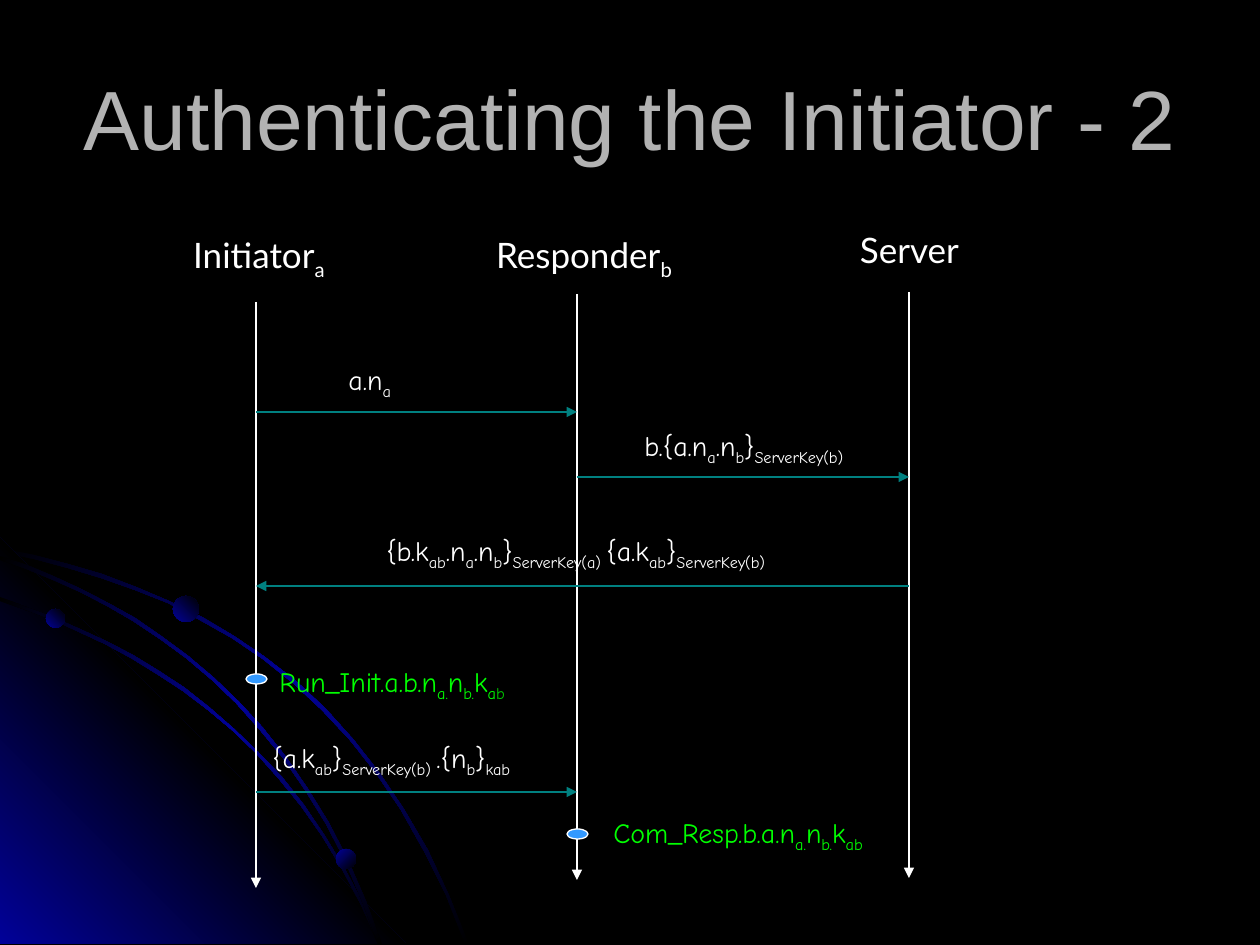
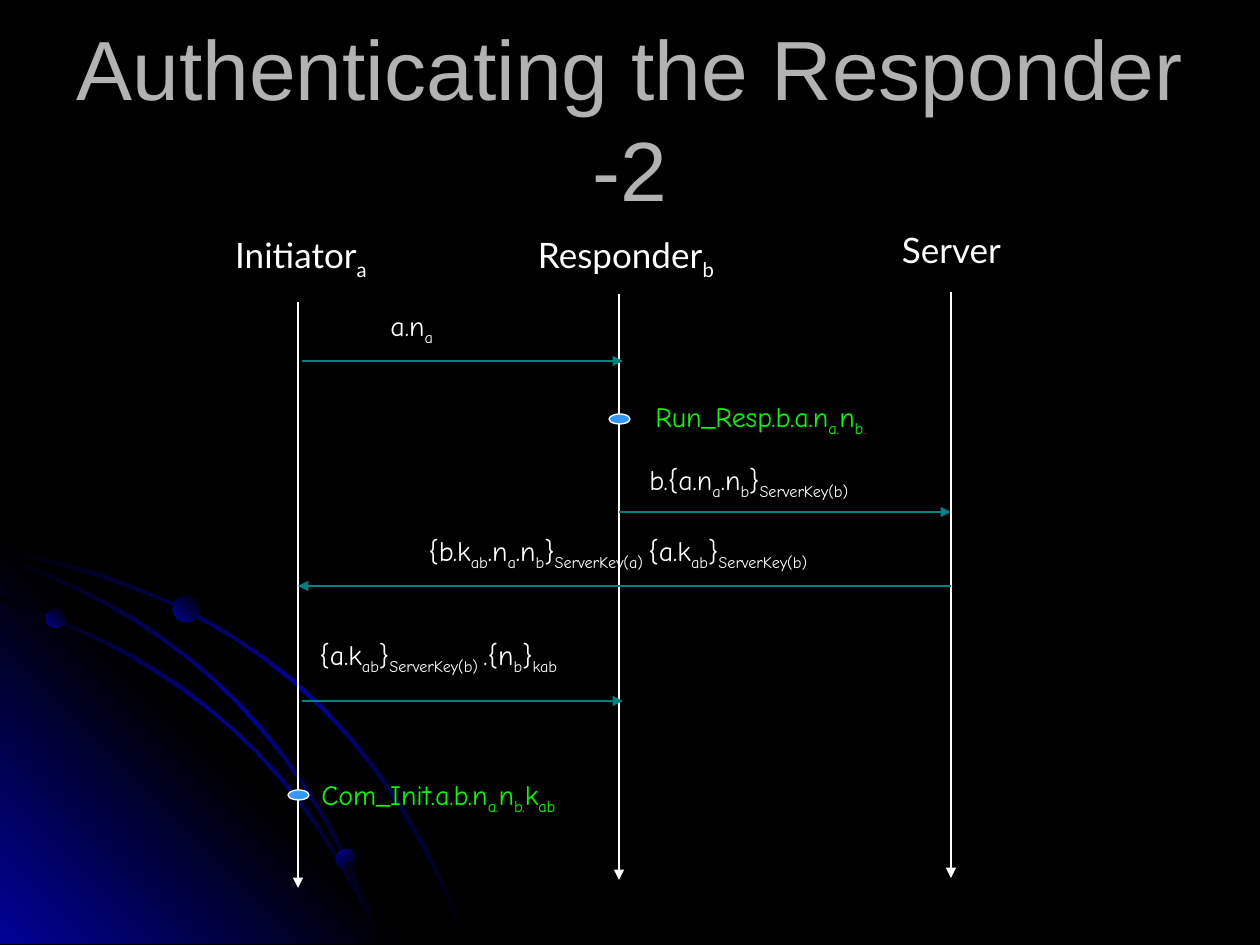
from typing import NamedTuple

from lxml import etree
from pptx import Presentation
from pptx.dml.color import RGBColor
from pptx.enum.shapes import MSO_CONNECTOR, MSO_SHAPE
from pptx.enum.text import MSO_ANCHOR, PP_ALIGN
from pptx.oxml import parse_xml
from pptx.oxml.ns import nsdecls, qn
from pptx.util import Emu, Pt

STRAIGHT = MSO_CONNECTOR.STRAIGHT
OVAL = MSO_SHAPE.OVAL
MIDDLE, TOP = MSO_ANCHOR.MIDDLE, MSO_ANCHOR.TOP
CENTER, LEFT = PP_ALIGN.CENTER, PP_ALIGN.LEFT

EMU_PER_PX = 914400 / 126
PAGE_WIDTH, PAGE_HEIGHT = 1260, 945

BLACK, WHITE, GLOW = "000000", "FFFFFF", "010199"
TEAL, MARKER_BLUE = "008080", "3399FF"
GREEN, DIM_GREEN, DIM_RED = "00FF00", "00CC00", "990000"

TITLE_STYLE = {"name": "Arial", "size": Pt(48), "color": "B2B2B2"}
ROLE_STYLE = {"name": "Lato", "size": Pt(20), "color": WHITE}
MESSAGE_STYLE = {"name": "Comic Neue", "size": Pt(16), "color": WHITE}
EVENT_STYLE = {**MESSAGE_STYLE, "color": GREEN}

TITLE_PLACE = (63, 10, 1134, 214)
ROLE_HEIGHT = 54
LIFELINE_LENGTH = 586
MESSAGE_INDENT = 63
EVENT_HEIGHT = 81
MARKER_WIDTH, MARKER_HEIGHT = 21, 10
ARC_WIDTH, ARC_STEPS = 4, 16


class Sub(NamedTuple):
    """Subscript letters, in the colour of their text unless one is given."""
    text: str
    color: str = ""


class Role(NamedTuple):
    spans: list
    label_left: int
    label_top: int
    label_width: int
    line_x: int
    line_top: int
    event_gap: int


class Label(NamedTuple):
    spans: list
    width: int
    height: int


class Message(NamedTuple):
    """A label over an arrow; nudge moves the arrow off its lifelines."""
    label: Label
    left: int
    top: int
    sender: str
    receiver: str
    arrow_y: int
    nudge: int = 0


class Event(NamedTuple):
    """A marker on a role's lifeline with text to its right."""
    role: str
    marker_top: int
    text_top: int
    width: int
    spans: list


class Diagram(NamedTuple):
    title: str
    shift: int
    messages: list
    events: list


# Background: each arc is a cubic curve through a start, two handles and an end
OUTER_ARC = [(0, 550), (181, 585), (368, 672), (467, 944)]
MIDDLE_ARC = [(0, 558), (140, 604), (300, 705), (380, 944)]
INNER_ARC = [(0, 599), (140, 647), (290, 728), (380, 944)]
CORNER = [(406, 944), (0, 944), (0, 538)]
# Left, top, size and gradient angle
PLANETS = [(46, 609, 19, 315), (336, 849, 20, 45), (173, 596, 26, 315)]

A, B, AB = Sub("a"), Sub("b"), Sub("ab")
A_DOT, B_DOT = Sub("a."), Sub("b.")
KEY_A, KEY_B = "ServerKey(a)", "ServerKey(b)"

ROLES = {
    "initiator": Role(["Initiator", A], 179, 227, 160, 256, 302, 11),
    "responder": Role(["Responder", B], 483, 227, 202, 577, 294, 24),
    "server": Role(["Server"], 847, 222, 125, 909, 292, 24),
}

NONCE = Label(["a.n", A], 197, 76)
REQUEST = Label(["b.{a.n", A, ".n", B, "}", Sub(KEY_B)], 331, 81)
REPLY = Label(["{b.k", AB, ".n", A, ".n", B, "}", Sub(KEY_A + " "),
               "{a.k", AB, "}", Sub(KEY_B)], 556, 81)
FORWARD = Label(["{a.k", AB, "}", Sub(KEY_B + " "),
                 ".{n", B, "}", Sub("kab")], 378, 125)

DIAGRAMS = [
    Diagram(
        title="Authenticating the Initiator - 2",
        shift=0,
        messages=[
            Message(NONCE, 273, 356, "initiator", "responder", 412),
            Message(REQUEST, 569, 422, "responder", "server", 477),
            Message(REPLY, 311, 527, "server", "initiator", 586),
            Message(FORWARD, 197, 734, "initiator", "responder", 792)],
        events=[
            Event("responder", 829, 809, 306,
                  ["Com_Resp.b.a.n", A_DOT, "n", B_DOT, "k", AB]),
            Event("initiator", 674, 658, 295,
                  ["Run_Init.a.b.n", A_DOT, "n", B_DOT, "k", A,
                   Sub("b", DIM_GREEN)])]),
    Diagram(
        title="Authenticating the Responder -2",
        shift=42,
        messages=[
            Message(NONCE, 315, 302, "initiator", "responder", 361, nudge=4),
            Message(REQUEST, 574, 456, "responder", "server", 512),
            Message(REPLY, 353, 527, "server", "initiator", 586),
            Message(FORWARD, 244, 631, "initiator", "responder", 701, nudge=4)],
        events=[
            Event("responder", 414, 393, 263,
                  ["Run_Resp.b.a.n", A_DOT, "n", B, Sub(".", DIM_RED)]),
            Event("initiator", 790, 771, 302,
                  ["Com_Init.a.b.n", A_DOT, "n", B_DOT, "k", AB])]),
]


def px(*lengths):
    return [Emu(round(length * EMU_PER_PX)) for length in lengths]


def rgb(color):
    return RGBColor.from_string(color)


def set_gradient(shape, colors, angle):
    """Fill with evenly spaced stops and remove line and shadow."""
    shape.shadow.inherit = False
    shape.line.fill.background()
    step = 100000 // (len(colors) - 1)
    stops = "".join(
        f'<a:gs pos="{index * step}"><a:srgbClr val="{color}"/></a:gs>'
        for index, color in enumerate(colors))
    gradient = parse_xml(
        f'<a:gradFill {nsdecls("a")} rotWithShape="1"><a:gsLst>{stops}</a:gsLst>'
        f'<a:lin ang="{angle * 60000}" scaled="0"/></a:gradFill>')
    shape._element.spPr.find(qn("a:ln")).addprevious(gradient)


def curve_point(controls, t):
    """Return the point at t, from 0 to 1, on a cubic Bezier curve."""
    weights = ((1 - t) ** 3, 3 * t * (1 - t) ** 2, 3 * t ** 2 * (1 - t), t ** 3)
    return [sum(weight * value for weight, value in zip(weights, values))
            for values in zip(*controls)]


def arc_outline(controls):
    """Widen a curve: its cut is upright at the left edge, level at the foot."""
    upper, lower = [], []
    for step in range(ARC_STEPS + 1):
        t = step / ARC_STEPS
        x, y = curve_point(controls, t)
        across, up = ARC_WIDTH / 2 * t, ARC_WIDTH / 2 * (1 - t)
        upper.append((x + across, y - up))
        lower.append((x - across, y + up))
    return upper + lower[::-1]


def add_polygon(page, outline, colors, angle):
    builder = page.shapes.build_freeform(*outline[0], scale=EMU_PER_PX)
    builder.add_line_segments(outline[1:], close=True)
    set_gradient(builder.convert_to_shape(), colors, angle)


def add_arc(page, controls):
    add_polygon(page, arc_outline(controls), [BLACK, GLOW, BLACK], 45)


def add_backdrop(page):
    page.background.fill.solid()
    page.background.fill.fore_color.rgb = rgb(BLACK)
    add_arc(page, OUTER_ARC)
    add_polygon(page, CORNER, [GLOW, BLACK, GLOW], 315)
    add_arc(page, INNER_ARC)
    add_arc(page, MIDDLE_ARC)
    for left, top, size, angle in PLANETS:
        planet = page.shapes.add_shape(OVAL, *px(left, top, size, size))
        set_gradient(planet, [GLOW, BLACK], angle)


def add_span(para, content, style):
    """Add a run from a plain string or a Sub."""
    is_subscript = isinstance(content, Sub)
    span = para.add_run()
    span.text = content.text if is_subscript else content
    for key in ("name", "size"):
        setattr(span.font, key, style[key])
    color = style["color"]
    if is_subscript:
        color = content.color or color
        span._r.get_or_add_rPr().set("baseline", "-25000")
    span.font.color.rgb = rgb(color)


def add_text(page, spans, place, style, align=LEFT, anchor=TOP, wrap=True,
             indent=0):
    box = page.shapes.add_textbox(*px(*place))
    for key, value in {"word_wrap": wrap, "vertical_anchor": anchor}.items():
        setattr(box.text_frame, key, value)
    para = box.text_frame.paragraphs[0]
    para.alignment = align
    if indent:
        para._p.get_or_add_pPr().set("marL", str(px(indent)[0]))
    for content in spans:
        add_span(para, content, style)


def add_arrow(page, start, end, color):
    arrow = page.shapes.add_connector(STRAIGHT, *px(*start, *end))
    arrow.line.width = Pt(0.75)
    arrow.line.color.rgb = rgb(color)
    properties = arrow._element.spPr
    etree.SubElement(properties.find(qn("a:ln")), qn("a:tailEnd"), type="triangle")
    etree.SubElement(properties, qn("a:effectLst"))


def add_lifeline(page, role, shift):
    x, top = role.line_x + shift, role.line_top
    add_arrow(page, (x, top), (x, top + LIFELINE_LENGTH), WHITE)
    place = (role.label_left + shift, role.label_top, role.label_width, ROLE_HEIGHT)
    add_text(page, role.spans, place, ROLE_STYLE, CENTER, wrap=False)


def add_message(page, message, shift):
    label = message.label
    place = (message.left, message.top, label.width, label.height)
    add_text(page, label.spans, place, MESSAGE_STYLE, indent=MESSAGE_INDENT)
    start, end = [(ROLES[name].line_x + shift + message.nudge, message.arrow_y)
                  for name in (message.sender, message.receiver)]
    add_arrow(page, start, end, TEAL)


def add_event(page, event, shift):
    role = ROLES[event.role]
    x = role.line_x + shift
    marker = page.shapes.add_shape(OVAL, *px(
        x - MARKER_WIDTH // 2, event.marker_top, MARKER_WIDTH, MARKER_HEIGHT))
    marker.shadow.inherit = False
    marker.fill.solid()
    marker.fill.fore_color.rgb = rgb(MARKER_BLUE)
    marker.line.color.rgb = rgb(WHITE)
    marker.line.width = Pt(0.75)
    place = (x + role.event_gap, event.text_top, event.width, EVENT_HEIGHT)
    add_text(page, event.spans, place, EVENT_STYLE)


def add_diagram(page, diagram):
    add_backdrop(page)
    add_text(page, [diagram.title], TITLE_PLACE, TITLE_STYLE, CENTER, MIDDLE)
    for role in ROLES.values():
        add_lifeline(page, role, diagram.shift)
    for event in diagram.events:
        add_event(page, event, diagram.shift)
    for message in diagram.messages:
        add_message(page, message, diagram.shift)


def main():
    deck = Presentation()
    deck.slide_width, deck.slide_height = px(PAGE_WIDTH, PAGE_HEIGHT)
    blank = deck.slide_layouts[6]
    for diagram in DIAGRAMS:
        add_diagram(deck.slides.add_slide(blank), diagram)
    deck.save("out.pptx")


if __name__ == "__main__":
    main()
